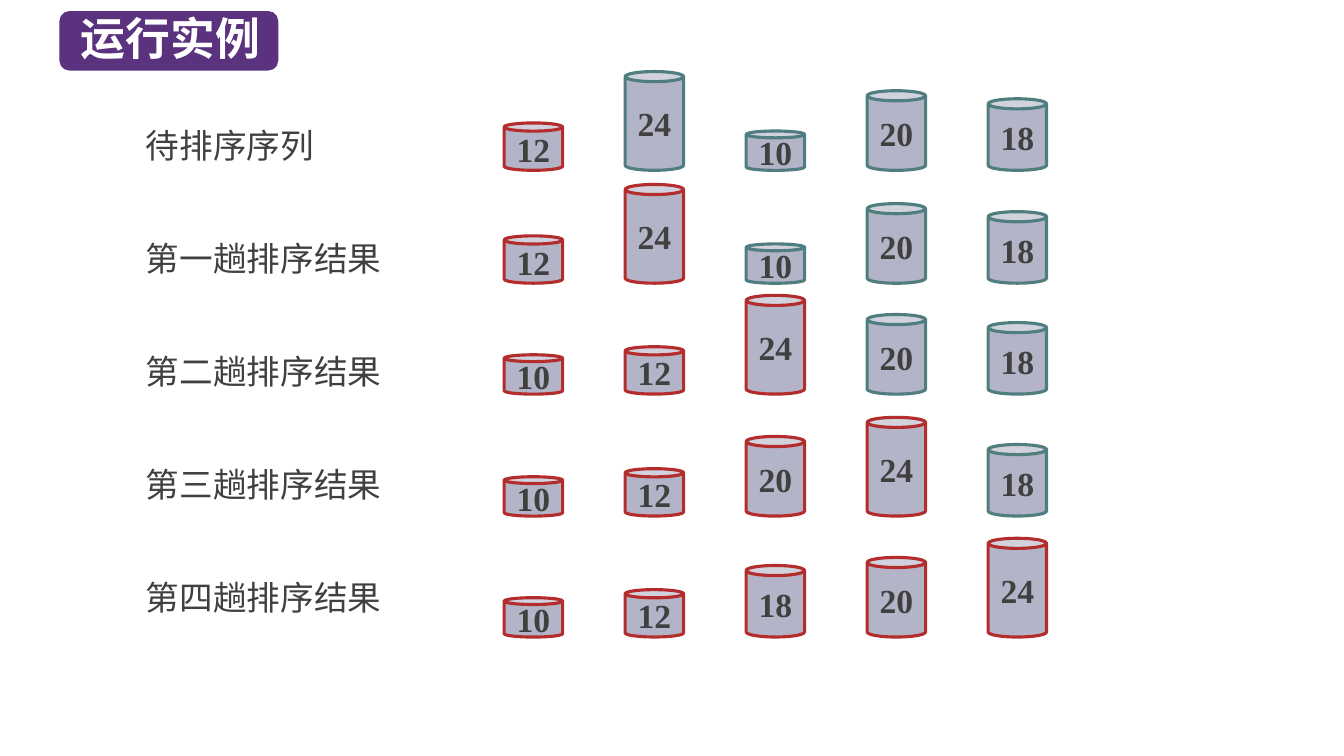
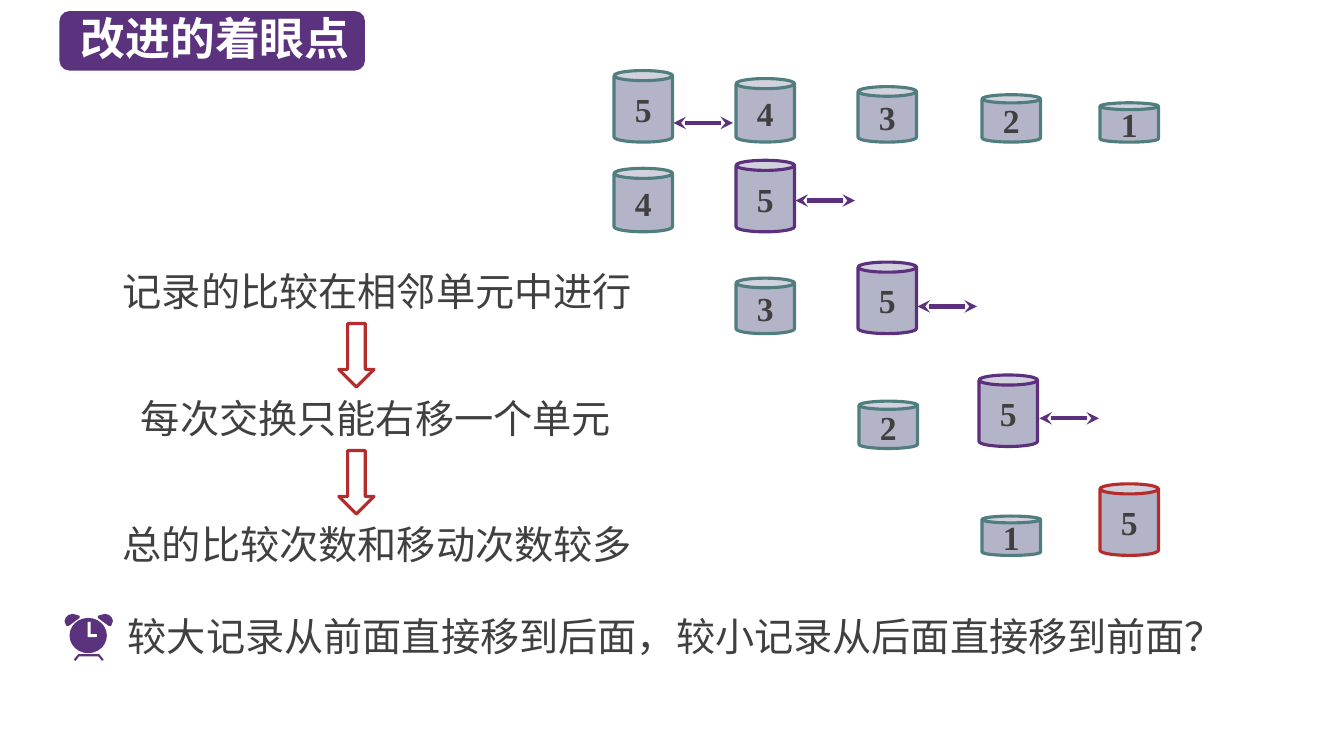
from lxml import etree
from pptx import Presentation
from pptx.dml.color import RGBColor
from pptx.enum.shapes import MSO_CONNECTOR, MSO_SHAPE
from pptx.enum.text import MSO_ANCHOR, PP_ALIGN
from pptx.oxml.ns import qn
from pptx.util import Pt

PX = 9144
PURPLE = RGBColor(0x5A, 0x32, 0x7D)
VIOLET = RGBColor(0x5C, 0x30, 0x7D)
RED = RGBColor(0xB4, 0x2D, 0x2D)
TEAL = RGBColor(0x50, 0x7D, 0x7D)
LILAC = RGBColor(0xB4, 0xB4, 0xC8)
GREY = RGBColor(0x40, 0x40, 0x40)
WHITE = RGBColor(0xFF, 0xFF, 0xFF)
CJK = "Noto Sans CJK SC"
LATIN = "Times New Roman"
LEFT, CENTER = PP_ALIGN.LEFT, PP_ALIGN.CENTER
MIDDLE = MSO_ANCHOR.MIDDLE
CAN, OVAL = MSO_SHAPE.CAN, MSO_SHAPE.OVAL
ROUND_RECT, DOWN_ARROW = MSO_SHAPE.ROUNDED_RECTANGLE, MSO_SHAPE.DOWN_ARROW
STRAIGHT = MSO_CONNECTOR.STRAIGHT


def put_text(sp, text, size=24, color=GREY, bold=False, font=CJK, align=LEFT, wrap=True):
    tf = sp.text_frame
    tf.word_wrap = wrap
    tf.vertical_anchor = MIDDLE
    p = tf.paragraphs[0]
    p.alignment = align
    r = p.add_run()
    r.text = text
    r.font.size = Pt(size)
    r.font.bold = bold
    r.font.color.rgb = color
    r.font.name = font
    etree.SubElement(r.font._element, qn("a:ea"), typeface=font)


def add_can(s, value, x, bottom, height, color):
    sp = s.shapes.add_shape(CAN, x * PX, (bottom - height) * PX, 58 * PX, height * PX)
    sp.adjustments[0] = 0.173
    sp.shadow.inherit = False
    sp.fill.solid()
    sp.fill.fore_color.rgb = LILAC
    sp.line.color.rgb = color
    sp.line.width = Pt(2.25)
    put_text(sp, str(value), bold=True, font=LATIN, align=CENTER, wrap=False)


prs = Presentation()
prs.slide_width, prs.slide_height = 1333 * PX, 750 * PX

slides = []
for title, badge_w, title_w in [("运行实例", 217, 210), ("改进的着眼点", 303, 299)]:
    s = prs.slides.add_slide(prs.slide_layouts[5])
    badge = s.shapes.add_shape(ROUND_RECT, 59 * PX, 11 * PX, badge_w * PX, 59 * PX)
    badge.shadow.inherit = False
    badge.fill.solid()
    badge.fill.fore_color.rgb = PURPLE
    badge.line.fill.background()
    sp = s.shapes.title
    sp.left, sp.top, sp.width, sp.height = 70 * PX, 5 * PX, title_w * PX, 64 * PX
    sp.element.addprevious(badge.element)
    put_text(sp, title, size=32, color=WHITE, bold=True)
    slides.append(s)
sorting, improving = slides

HEIGHTS = {10: 39, 12: 47, 18: 71, 20: 79, 24: 98}
PASSES = [
    ("待排序序列", 169, [12, 24, 10, 20, 18]),
    ("第一趟排序结果", 281, [12, 24, 10, 20, 18]),
    ("第二趟排序结果", 391, [10, 12, 24, 20, 18]),
    ("第三趟排序结果", 512, [10, 12, 20, 24, 18]),
    ("第四趟排序结果", 632, [10, 12, 18, 20, 24]),
]
for i, (label, bottom, values) in enumerate(PASSES):
    sp = sorting.shapes.add_textbox(135 * PX, (119 + 112 * i) * PX, 293 * PX, 50 * PX)
    put_text(sp, label)
    for j, value in enumerate(values):
        add_can(sorting, value, 500 + 120 * j, bottom, HEIGHTS[value], RED if j <= i else TEAL)

CANS = [
    (5, 609, 141, TEAL), (4, 730, 141, TEAL), (3, 851, 141, TEAL),
    (2, 974, 141, TEAL), (1, 1091, 141, TEAL),
    (4, 609, 230, TEAL), (5, 730, 230, VIOLET),
    (3, 730, 331, TEAL), (5, 851, 331, VIOLET),
    (2, 852, 445, TEAL), (5, 971, 443, VIOLET),
    (1, 974, 551, TEAL), (5, 1091, 551, RED),
]
for value, x, bottom, color in CANS:
    add_can(improving, value, x, bottom, 31 + 8 * value, color)

for i, y in enumerate([122, 199, 304, 415]):
    x = 668 + 121 * i
    swap = improving.shapes.add_connector(STRAIGHT, x * PX, y * PX, (x + 59) * PX, y * PX)
    swap.line.color.rgb = VIOLET
    swap.line.width = Pt(3)
    spPr = swap.element.spPr
    for end in ("a:headEnd", "a:tailEnd"):
        etree.SubElement(spPr.find(qn("a:ln")), qn(end), type="stealth")
    etree.SubElement(spPr, qn("a:effectLst"))

for text, x, y, w in [
    ("记录的比较在相邻单元中进行", 112, 260, 545),
    ("每次交换只能右移一个单元", 130, 386, 545),
    ("总的比较次数和移动次数较多", 112, 511, 545),
    ("较大记录从前面直接移到后面，较小记录从后面直接移到前面？", 117, 602, 1190),
]:
    sp = improving.shapes.add_textbox(x * PX, y * PX, w * PX, 57 * PX)
    put_text(sp, text, size=28)

for y in (321, 447):
    arrow = improving.shapes.add_shape(DOWN_ARROW, 336 * PX, y * PX, 35 * PX, 63 * PX)
    arrow.shadow.inherit = False
    arrow.fill.background()
    arrow.line.color.rgb = RED
    arrow.line.width = Pt(2.25)

face = improving.shapes.add_shape(OVAL, 69 * PX, 613 * PX, 37 * PX, 35 * PX)
BELL = [(72, 609), (68, 610), (65, 613), (64, 616), (65, 619), (66, 621),
        (68, 621), (79, 613), (79, 611), (76, 610)]
HANDS = [(87, 617), (90, 617), (90, 629), (96, 629), (96, 632), (87, 632)]
clock = [(face, PURPLE)]
for points, color in [(BELL, PURPLE), ([(176 - x, y) for x, y in BELL], PURPLE), (HANDS, WHITE)]:
    outline = improving.shapes.build_freeform(*points[0], scale=PX)
    outline.add_line_segments(points[1:], close=True)
    clock.append((outline.convert_to_shape(), color))
for sp, color in clock:
    sp.shadow.inherit = False
    sp.fill.solid()
    sp.fill.fore_color.rgb = color
    sp.line.fill.background()

outline = improving.shapes.build_freeform(74, 655, scale=PX)
outline.add_line_segments([(78, 650), (98, 650), (102, 655)], close=False)
legs = outline.convert_to_shape()
legs.shadow.inherit = False
legs.fill.background()
legs.line.color.rgb = PURPLE
legs.line.width = Pt(1.5)

prs.save("out.pptx")
